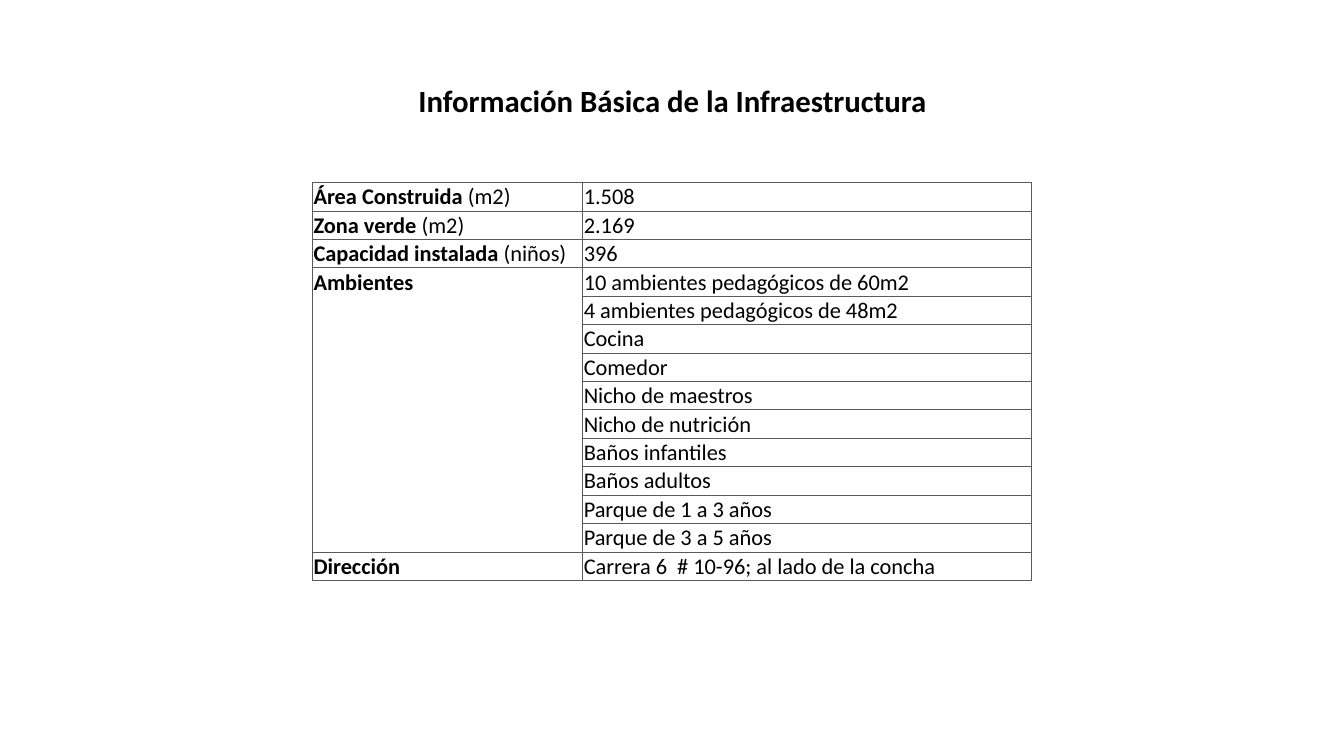
from lxml import etree
from pptx import Presentation
from pptx.dml.color import RGBColor
from pptx.enum.text import MSO_ANCHOR, PP_ALIGN
from pptx.oxml.ns import qn
from pptx.util import Inches, Pt

CENTER, LEFT = PP_ALIGN.CENTER, PP_ALIGN.LEFT
TOP = MSO_ANCHOR.TOP
FONT, INK, PAPER, RULE = "Calibri", "000000", "FFFFFF", "595959"

# Content: label, unit, values (a label spans all its values)
TITLE = "Información Básica de la Infraestructura"
FACTS = [
    ("Área Construida ", "(m2)", ["1.508"]),
    ("Zona verde ", "(m2)", ["2.169"]),
    ("Capacidad instalada ", "(niños)", ["396"]),
    ("Ambientes", "", [
        "10 ambientes pedagógicos de 60m2",
        "4 ambientes pedagógicos de 48m2",
        "Cocina",
        "Comedor",
        "Nicho de maestros",
        "Nicho de nutrición",
        "Baños infantiles",
        "Baños adultos",
        "Parque de 1 a 3 años",
        "Parque de 3 a 5 años",
    ]),
    ("Dirección", "", ["Carrera 6  # 10-96; al lado de la concha"]),
]
COLS = (2.68, 4.45)
ROW = 0.28


def color(code):
    return RGBColor.from_string(code)


def write(frame, text, size=16, bold=False, align=LEFT):
    para = frame.paragraphs[0]
    para.alignment = align
    run = para.add_run()
    run.text = text
    font = run.font
    font.name, font.size, font.bold = FONT, Pt(size), bold
    font.color.rgb = color(INK)


def dress(cell):
    cell.margin_left = cell.margin_right = cell.margin_top = Inches(0.01)
    cell.margin_bottom = 0
    cell.vertical_anchor = TOP
    cell.fill.solid()
    cell.fill.fore_color.rgb = color(PAPER)
    # Borders go before the fill
    props = cell._tc.get_or_add_tcPr()
    for spot, side in enumerate(("lnL", "lnR", "lnT", "lnB")):
        line = etree.Element(qn("a:" + side), w=str(Pt(0.5)))
        fill = etree.SubElement(line, qn("a:solidFill"))
        etree.SubElement(fill, qn("a:srgbClr"), val=RULE)
        props.insert(spot, line)


deck = Presentation()
deck.slide_width, deck.slide_height = Inches(13.33), Inches(7.5)
slide = deck.slides.add_slide(deck.slide_layouts[6])

# Table
count = sum(len(values) for _, _, values in FACTS)
table = slide.shapes.add_table(
    count, len(COLS), Inches(3.1), Inches(1.81),
    Inches(sum(COLS)), Inches(ROW * count)).table
table.first_row = table.horz_banding = False
for col, width in zip(table.columns, COLS):
    col.width = Inches(width)
for row in table.rows:
    row.height = Inches(ROW)
for cell in table.iter_cells():
    dress(cell)

top = 0
for label, unit, values in FACTS:
    head = table.cell(top, 0)
    if len(values) > 1:
        head.merge(table.cell(top + len(values) - 1, 0))
    write(head.text_frame, label, bold=True)
    if unit:
        write(head.text_frame, unit)
    for step, value in enumerate(values):
        write(table.cell(top + step, 1).text_frame, value)
    top += len(values)

# Title
box = slide.shapes.add_textbox(Inches(1.67), Inches(0.76), Inches(10), Inches(0.47))
box.text_frame.word_wrap = True
write(box.text_frame, TITLE, size=22, bold=True, align=CENTER)

deck.save("out.pptx")
